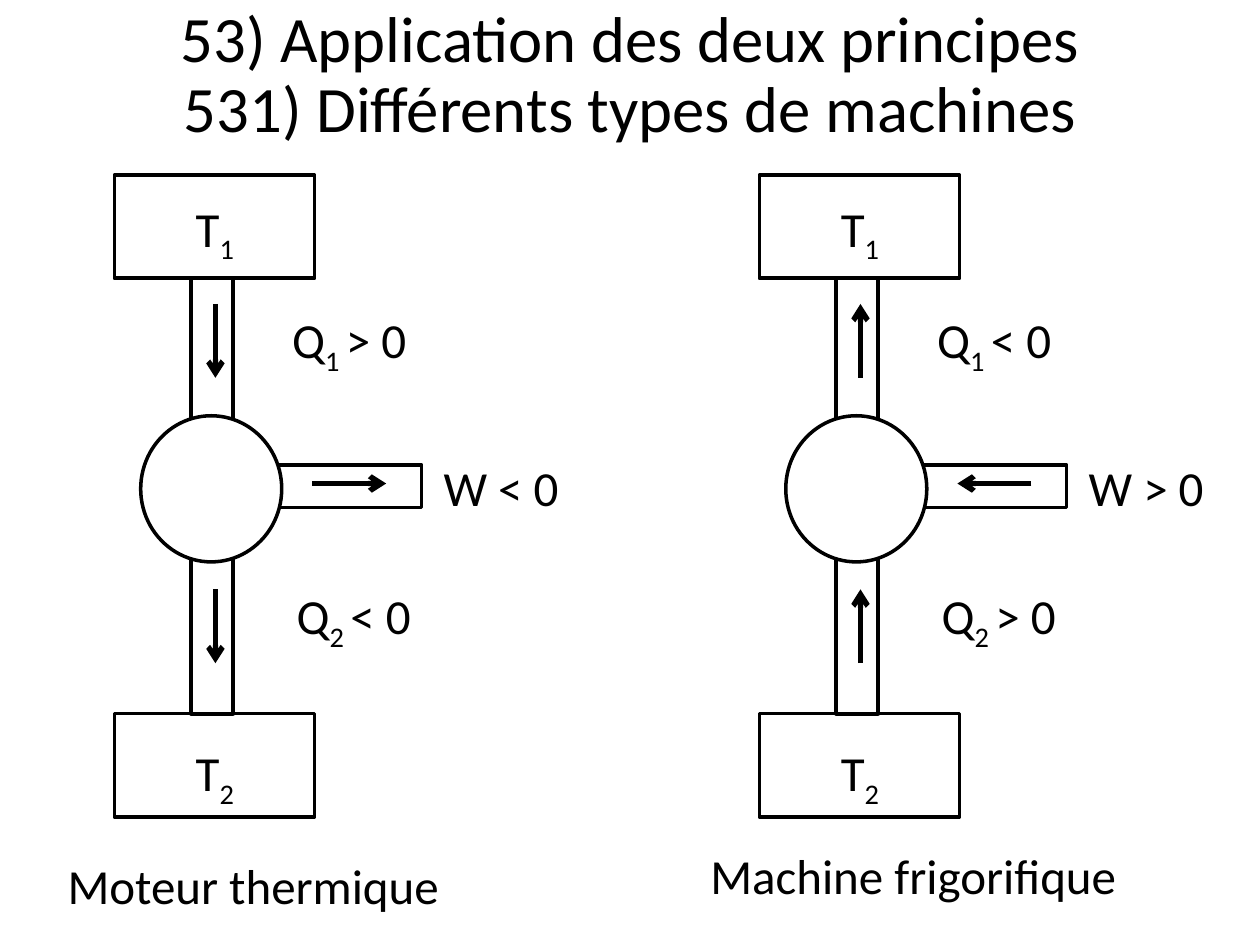
import pptx
import pptx.util
import pptx.dml.color
import pptx.enum.shapes
import pptx.enum.text
import pptx.oxml
import pptx.oxml.ns
import lxml.etree

Pt = pptx.util.Pt
Shape = pptx.enum.shapes.MSO_SHAPE
Align = pptx.enum.text.PP_ALIGN
Anchor = pptx.enum.text.MSO_ANCHOR
Fit = pptx.enum.text.MSO_AUTO_SIZE
INK, PAPER = "000000", "FFFFFF"


def color(code):
    return pptx.dml.color.RGBColor.from_string(code)


def tag(parent, name, **attrs):
    return lxml.etree.SubElement(parent, pptx.oxml.ns.qn(name), attrs)


class Deck:
    """Holds the style, the current slide and the group being filled."""

    def __init__(self):
        self.prs = pptx.Presentation()
        self.prs.slide_width, self.prs.slide_height = Pt(720), Pt(540)
        self.slide = self.prs.slides.add_slide(self.prs.slide_layouts[5])
        self.shapes = self.slide.shapes
        self.font = {"name": "Calibri", "size": Pt(28)}

    def label(self, para, parts, **style):
        """Adds runs; every second part is a subscript."""
        para.alignment = Align.CENTER
        for i, part in enumerate(parts):
            run = para.add_run()
            run.text = part
            for key, value in {**self.font, **style}.items():
                setattr(run.font, key, value)
            run.font.color.rgb = color(INK)
            if i % 2:
                run.font._element.set("baseline", "-25000")

    def title(self, lines, x, y, w, h):
        box = self.slide.shapes.title
        place = {"left": x, "top": y, "width": w, "height": h}
        for key, value in place.items():
            setattr(box, key, Pt(value))
        frame = box.text_frame
        form = {"auto_size": Fit.NONE, "word_wrap": True,
                "vertical_anchor": Anchor.MIDDLE}
        for key, value in form.items():
            setattr(frame, key, value)
        for i, line in enumerate(lines):
            para = frame.add_paragraph() if i else frame.paragraphs[0]
            para.line_spacing = 0.9
            self.label(para, [line], size=Pt(37))

    def text(self, parts, x, y, w=95, h=38):
        box = self.shapes.add_textbox(Pt(x), Pt(y), Pt(w), Pt(h))
        frame = box.text_frame
        frame.word_wrap = True
        frame.auto_size = Fit.SHAPE_TO_FIT_TEXT
        self.label(frame.paragraphs[0], parts)

    def shape(self, kind, x, y, w, h, fill=None):
        item = self.shapes.add_shape(kind, Pt(x), Pt(y), Pt(w), Pt(h))
        item.shadow.inherit = False
        if fill:
            item.fill.solid()
            item.fill.fore_color.rgb = color(fill)
        else:
            item.fill.background()
        item.line.color.rgb = color(INK)
        item.line.width = Pt(2)

    def arrow(self, start, end):
        ends = [Pt(value) for value in (*start, *end)]
        item = self.shapes.add_connector(
            pptx.enum.shapes.MSO_CONNECTOR.STRAIGHT, *ends)
        item.line.color.rgb = color(INK)
        item.line.width = Pt(3)
        tag(item.line._get_or_add_ln(), "a:tailEnd", type="arrow")
        tag(item._element.spPr, "a:effectLst")

    def machine(self, x, signs, back):
        """Draws one machine; back turns its arrows round."""
        self.shapes = self.slide.shapes.add_group_shape().shapes
        rect = Shape.RECTANGLE
        self.shape(rect, x + 85, 265.7, 90.7, 24.5)
        for top in (159, 314.4):
            self.shape(rect, x + 43.9, top, 24, 93.6)
        for top in (100, 407.8):
            self.shape(rect, x, top, 114.5, 59)
        self.shape(Shape.OVAL, x + 15.1, 237.6, 80.6, 83.5, PAPER)

        self.text(["T", "1"], x + 10, 110)
        self.text(["T", "2"], x + 10, 421)
        hot, work, cold = signs
        self.text([f"W {work} 0"], x + 173.5, 257.8)
        self.text(["Q", "1 ", f"{hot} 0"], x + 84.2, 173.5, 100)
        self.text(["Q", "2 ", f"{cold} 0"], x + 89.3, 331.2)

        mid, reach = x + 57.8, 42.2
        flows = [((mid, top), (mid, top + reach)) for top in (173.7, 336.8)]
        flows.append(((x + 113.2, 276.3), (x + 113.2 + reach, 276.3)))
        for flow in flows:
            self.arrow(*(reversed(flow) if back else flow))
        self.shapes = self.slide.shapes


def main():
    deck = Deck()
    deck.title(["53) Application des deux principes",
                "531) Différents types de machines"], 36, -1.4, 648, 90)
    deck.machine(65.3, "><<", False)
    deck.machine(433.9, "<>>", True)
    deck.text(["Moteur thermique"], 20.2, 485.3, 249, 41)
    deck.text(["Machine frigorifique"], 365.8, 479.5, 312, 41)
    deck.prs.save("out.pptx")


if __name__ == "__main__":
    main()
